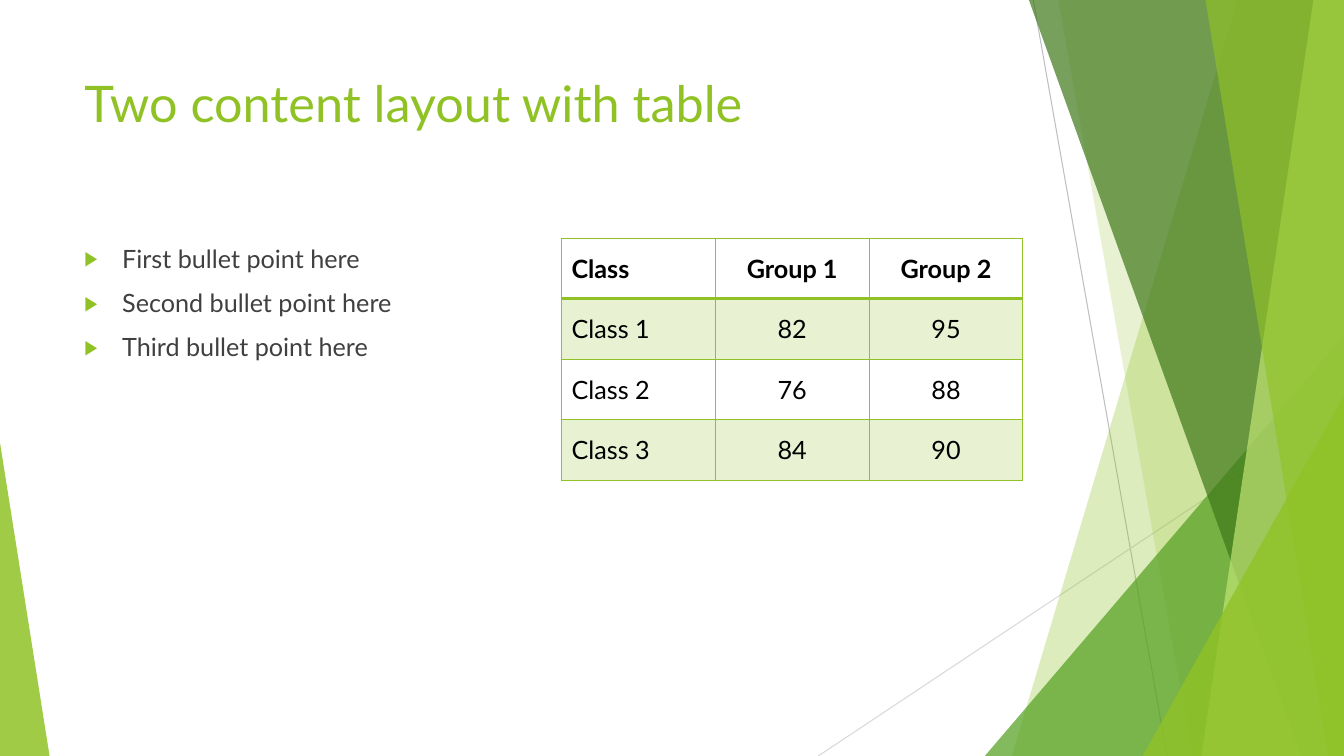
from lxml import etree
from pptx import Presentation
from pptx.dml.color import RGBColor
from pptx.enum.shapes import MSO_CONNECTOR, MSO_SHAPE
from pptx.enum.text import MSO_ANCHOR, PP_ALIGN
from pptx.oxml.ns import qn
from pptx.util import Cm, Pt

LINE = MSO_CONNECTOR.STRAIGHT
TRIANGLE = MSO_SHAPE.ISOSCELES_TRIANGLE
MIDDLE = MSO_ANCHOR.MIDDLE
LEFT, CENTER = PP_ALIGN.LEFT, PP_ALIGN.CENTER

LIME = RGBColor(0x90, 0xC2, 0x26)
GREEN = RGBColor(0x54, 0xA0, 0x21)
FOREST = RGBColor(0x3F, 0x78, 0x19)
PALE = RGBColor(0xC0, 0xE4, 0x74)
SILVER = RGBColor(0xBF, 0xBF, 0xBF)
MIST = RGBColor(0xD9, 0xD9, 0xD9)
GRAY = RGBColor(0x40, 0x40, 0x40)
BLACK = RGBColor(0, 0, 0)

WIDTH, HEIGHT = 33.87, 19.05
MARGIN, TOP, HALF = 1.88, 6, 11.63


class Deck:
    """Draws the elements of a slide in the green faceted style."""

    font = "Lato"

    def __init__(self):
        self.file = Presentation()
        self.file.slide_width, self.file.slide_height = Cm(WIDTH), Cm(HEIGHT)
        self.slide = self.file.slides.add_slide(self.file.slide_layouts[6])
        self.shapes = self.slide.shapes

    def tint(self, fill, color, alpha):
        fill.solid()
        fill.fore_color.rgb = color
        node = fill._xPr.find(qn("a:solidFill"))[0]
        etree.SubElement(node, qn("a:alpha"), val=str(alpha * 1000))

    def finish(self, shape, color, alpha):
        shape.shadow.inherit = False
        shape.line.fill.background()
        self.tint(shape.fill, color, alpha)

    def line(self, x1, y1, x2, y2, color):
        line = self.shapes.add_connector(LINE, Cm(x1), Cm(y1), Cm(x2), Cm(y2))
        line.line.color.rgb = color
        line.line.width = Pt(0.75)
        etree.SubElement(line._element.spPr, qn("a:effectLst"))

    def shard(self, top, base, color, alpha):
        pen = self.shapes.build_freeform(Cm(top), 0)
        points = [(WIDTH, 0), (WIDTH, HEIGHT), (base, HEIGHT)]
        pen.add_line_segments([(Cm(x), Cm(y)) for x, y in points])
        self.finish(pen.convert_to_shape(), color, alpha)

    def wedge(self, left, top, width, peak, color, alpha):
        shape = self.shapes.add_shape(
            TRIANGLE, Cm(left), Cm(top), Cm(width), Cm(HEIGHT - top))
        shape.adjustments[0] = peak
        self.finish(shape, color, alpha)

    def style(self, para, size, color, bold=False):
        for run in para.runs:
            run.font.name = self.font
            run.font.size = Pt(size)
            run.font.bold = bold
            run.font.color.rgb = color

    def text(self, left, top, width, height, words, size, color):
        box = self.shapes.add_textbox(Cm(left), Cm(top), Cm(width), Cm(height))
        frame = box.text_frame
        frame.word_wrap = True
        frame.text = words
        for para in frame.paragraphs:
            self.style(para, size, color)
        return frame

    def bullets(self, left, top, width, height, items):
        frame = self.text(left, top, width, height, "\n".join(items), 18, GRAY)
        for para in frame.paragraphs:
            para.space_before = Pt(10)
            props = para._p.get_or_add_pPr()
            props.set("marL", str(Cm(0.95)))
            props.set("indent", str(-Cm(0.95)))
            color = etree.SubElement(props, qn("a:buClr"))
            etree.SubElement(color, qn("a:srgbClr"), val=str(LIME))
            etree.SubElement(props, qn("a:buSzPct"), val="80000")
            etree.SubElement(props, qn("a:buFont"), typeface=self.font)
            etree.SubElement(props, qn("a:buChar"), char="▶")

    def border(self, cell, widths):
        props = cell._tc.get_or_add_tcPr()
        for i, (side, width) in enumerate(zip("LRTB", widths)):
            edge = etree.Element(qn("a:ln" + side), w=str(Pt(width)))
            fill = etree.SubElement(edge, qn("a:solidFill"))
            etree.SubElement(fill, qn("a:srgbClr"), val=str(LIME))
            props.insert(i, edge)

    def table(self, left, top, width, height, rows):
        grid = self.shapes.add_table(
            len(rows), len(rows[0]), Cm(left), Cm(top), Cm(width), Cm(height)).table
        grid.first_row = grid.horz_banding = False
        for r, row in enumerate(rows):
            for c, words in enumerate(row):
                cell = grid.cell(r, c)
                cell.text = words
                cell.vertical_anchor = MIDDLE
                para = cell.text_frame.paragraphs[0]
                para.alignment = CENTER if c else LEFT
                self.style(para, 18, BLACK, r == 0)
                if r % 2:
                    self.tint(cell.fill, LIME, 20)
                else:
                    cell.fill.background()
                self.border(cell, (1, 1, 2 if r == 1 else 1, 1 if r else 2))


def main():
    deck = Deck()
    deck.line(26.04, 0, 29.41, HEIGHT, SILVER)
    deck.line(WIDTH, 10.24, 20.62, HEIGHT, MIST)
    deck.shard(31.19, 25.5, LIME, 30)
    deck.shard(26.67, 30.05, LIME, 20)
    deck.wedge(24.82, 8.46, 9.05, 1, GREEN, 72)
    deck.shard(25.93, 32.79, FOREST, 70)
    deck.shard(33.1, 30.28, PALE, 70)
    deck.shard(30.38, 33.48, LIME, 65)
    deck.wedge(28.8, 9.98, 5.07, 1, LIME, 80)
    deck.wedge(0, 11.15, 1.25, 0, LIME, 85)

    deck.text(MARGIN, 1.7, 23.88, 3.66, "Two content layout with table", 36, LIME)
    deck.bullets(MARGIN, TOP, HALF, 10.77, [
        "First bullet point here",
        "Second bullet point here",
        "Third bullet point here",
    ])
    deck.table(14.15, TOP, HALF, 6.1, [
        ("Class", "Group 1", "Group 2"),
        ("Class 1", "82", "95"),
        ("Class 2", "76", "88"),
        ("Class 3", "84", "90"),
    ])
    deck.file.save("out.pptx")


if __name__ == "__main__":
    main()
